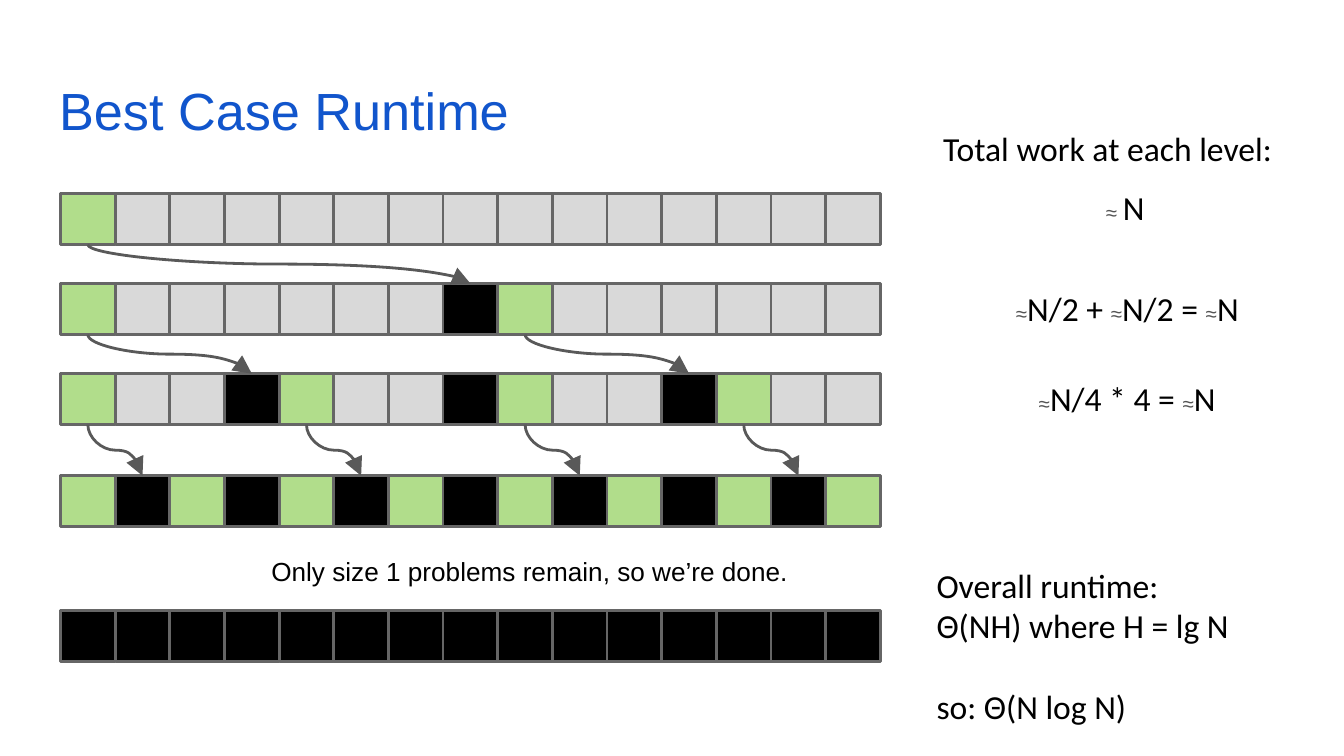
from lxml.etree import SubElement
from pptx import Presentation
from pptx.dml.color import RGBColor
from pptx.enum.shapes import MSO_CONNECTOR, MSO_SHAPE
from pptx.enum.text import MSO_ANCHOR, MSO_AUTO_SIZE, PP_ALIGN
from pptx.oxml.ns import qn
from pptx.util import Inches, Pt

BLUE, BLACK, GREEN, GRAY = "1155CC", "000000", "B1DD8B", "D9D9D9"
BORDER, ARROW, SYMBOL = "666666", "595959", "545454"
CELLS = 15
ROW_LEFT, ROW_WIDTH, ROW_HEIGHT = 0.45, 6.1, 0.38
ROW_TOPS = [1.44, 2.11, 2.78, 3.54, 4.54]
PITCH = ROW_WIDTH / CELLS


def color(hex_code):
    return RGBColor.from_string(hex_code)


def add_run(para, text, size, font="Calibri", hex_code=BLACK):
    span = para.add_run()
    span.text = text
    span.font.name = font
    span.font.size = Pt(size)
    span.font.color.rgb = color(hex_code)


def format_frame(frame, anchor):
    frame.word_wrap = True
    frame.auto_size = MSO_AUTO_SIZE.NONE
    frame.vertical_anchor = anchor
    frame.margin_left = frame.margin_right = Inches(0.1)
    frame.margin_top = frame.margin_bottom = Inches(0.1)


def add_text_box(page, left, top, width, height):
    box = page.shapes.add_textbox(
        Inches(left), Inches(top), Inches(width), Inches(height))
    format_frame(box.text_frame, MSO_ANCHOR.TOP)
    return box.text_frame


def add_title(page, text, left, top, width, height):
    title = page.shapes.title
    title.left, title.top = Inches(left), Inches(top)
    title.width, title.height = Inches(width), Inches(height)
    format_frame(title.text_frame, MSO_ANCHOR.MIDDLE)
    para = title.text_frame.paragraphs[0]
    para.alignment = PP_ALIGN.LEFT
    add_run(para, text, 28, "Arial", BLUE)


def add_array_row(shapes, level, top):
    """Draw the array after `level` rounds: pivots black, next pivots green."""
    step = (CELLS + 1) >> level
    for index in range(CELLS):
        if (index + 1) % step == 0:
            fill = BLACK
        elif index % step == 0:
            fill = GREEN
        else:
            fill = GRAY
        cell = shapes.add_shape(
            MSO_SHAPE.RECTANGLE, Inches(ROW_LEFT + index * PITCH), Inches(top),
            Inches(PITCH), Inches(ROW_HEIGHT))
        cell.shadow.inherit = False
        cell.fill.solid()
        cell.fill.fore_color.rgb = color(fill)
        cell.line.color.rgb = color(BORDER)
        cell.line.width = Pt(1.5)


def add_curved_arrow(shapes, start_x, start_y, end_x, end_y):
    """Draw an S-curve that leaves and arrives vertically (a turned, flipped connector)."""
    across, down = end_x - start_x, end_y - start_y
    left = (start_x + end_x - down) / 2
    top = (start_y + end_y - across) / 2
    arrow = shapes.add_connector(
        MSO_CONNECTOR.CURVE, Inches(left), Inches(top),
        Inches(left + down), Inches(top + across))
    arrow.line.color.rgb = color(ARROW)
    arrow.line.width = Pt(1.5)
    properties = arrow._element.spPr
    frame = properties.find(qn("a:xfrm"))
    frame.set("rot", "16200000")
    frame.set("flipH", "1")
    SubElement(properties.find(qn("a:ln")), qn("a:tailEnd"),
               type="triangle", w="lg", len="lg")
    SubElement(properties, qn("a:effectLst"))


def add_pivot_arrows(shapes, level, upper_top, top):
    """Link each pivot in the row above to the place where it lands."""
    step = (CELLS + 1) >> (level - 1)
    for first in range(0, CELLS, step):
        landing = first + step // 2 - 1
        start_x, end_x = (
            ROW_LEFT + (index + 0.5) * PITCH for index in (first, landing))
        add_curved_arrow(shapes, start_x, upper_top + ROW_HEIGHT, end_x, top)


def add_partition_levels(page):
    for level, top in enumerate(ROW_TOPS):
        shapes = page.shapes.add_group_shape().shapes if level else page.shapes
        add_array_row(shapes, level, top)
        if 0 < level < len(ROW_TOPS) - 1:
            add_pivot_arrows(shapes, level, ROW_TOPS[level - 1], top)
    caption = add_text_box(page, 1.92, 4.06, 4.59, 0.14)
    add_run(caption.paragraphs[0],
            "Only size 1 problems remain, so we’re done.", 14, "Arial")


def add_work_per_level(page):
    heading = add_text_box(page, 6.92, 0.85, 2.77, 0.38)
    add_run(heading.paragraphs[0], "Total work at each level:", 18)
    costs = [
        (8.13, 1.29, 0.82, ["≈ ", "N"]),
        (7.46, 2.04, 2.05, ["≈", "N/2 + ", "≈", "N/2 = ", "≈", "N"]),
        (7.63, 2.71, 2.05, ["≈", "N/4 * 4 = ", "≈", "N"]),
    ]
    for left, top, width, parts in costs:
        frame = add_text_box(page, left, top, width, 0.54)
        for part in parts:
            if part.startswith("≈"):
                add_run(frame.paragraphs[0], part, 11, "Arial", SYMBOL)
            else:
                add_run(frame.paragraphs[0], part, 18)


def add_overall_runtime(page, left, top, width, height):
    frame = add_text_box(page, left, top, width, height)
    lines = [("Overall runtime:", 0), ("Θ(NH) where H = lg N", 0),
             ("so: Θ(N log N)", 22)]
    for number, (text, gap) in enumerate(lines):
        para = frame.add_paragraph() if number else frame.paragraphs[0]
        para.space_before = Pt(gap)
        add_run(para, text, 18)


def main():
    deck = Presentation()
    deck.slide_width = Inches(10)
    deck.slide_height = Inches(10 * 9 / 16)
    page = deck.slides.add_slide(deck.slide_layouts[5])
    add_title(page, "Best Case Runtime", 0.34, 0.5, 9.32, 0.63)
    add_partition_levels(page)
    add_work_per_level(page)
    add_overall_runtime(page, 6.87, 4.1, 3.13, 1.36)
    deck.save("out.pptx")


if __name__ == "__main__":
    main()
